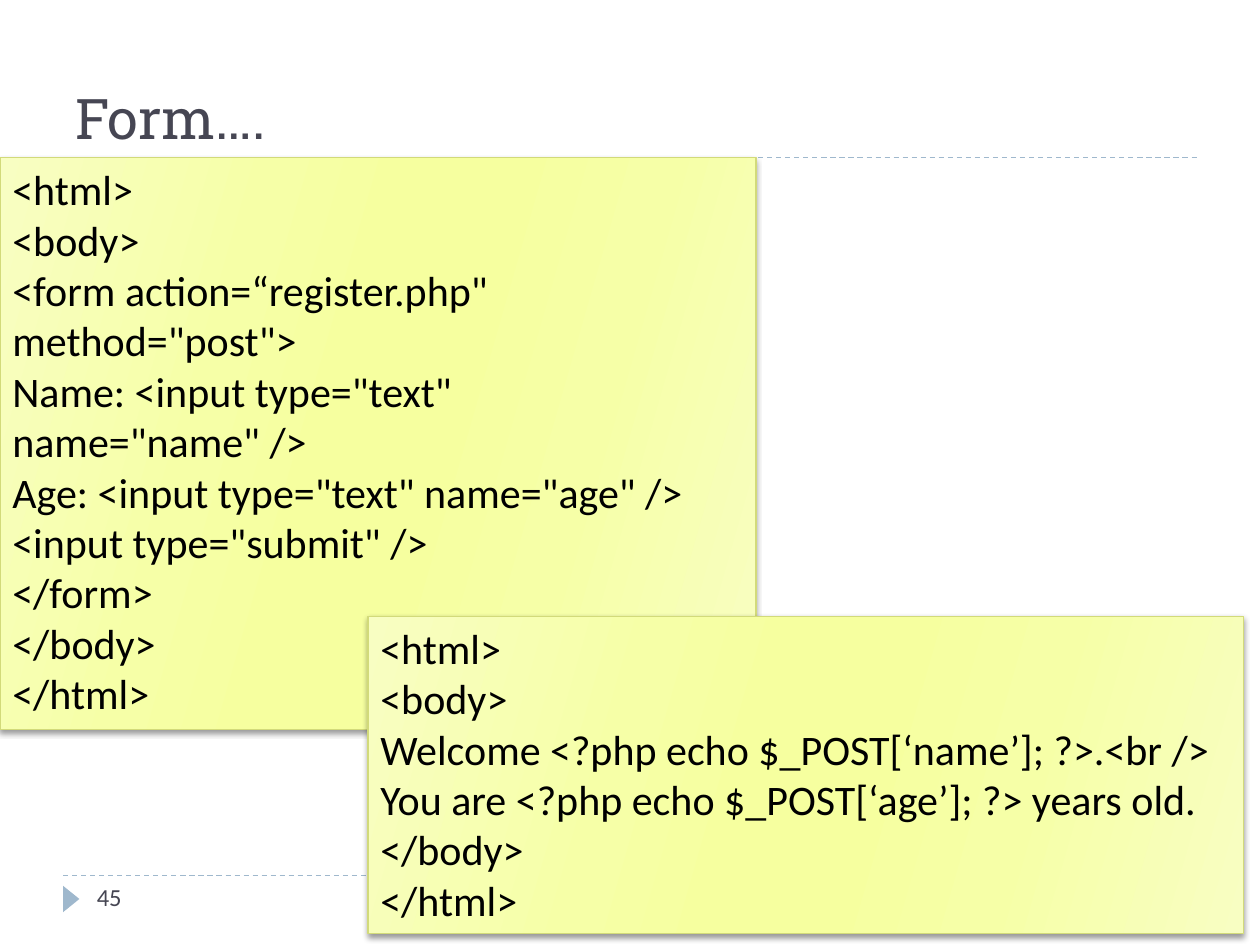
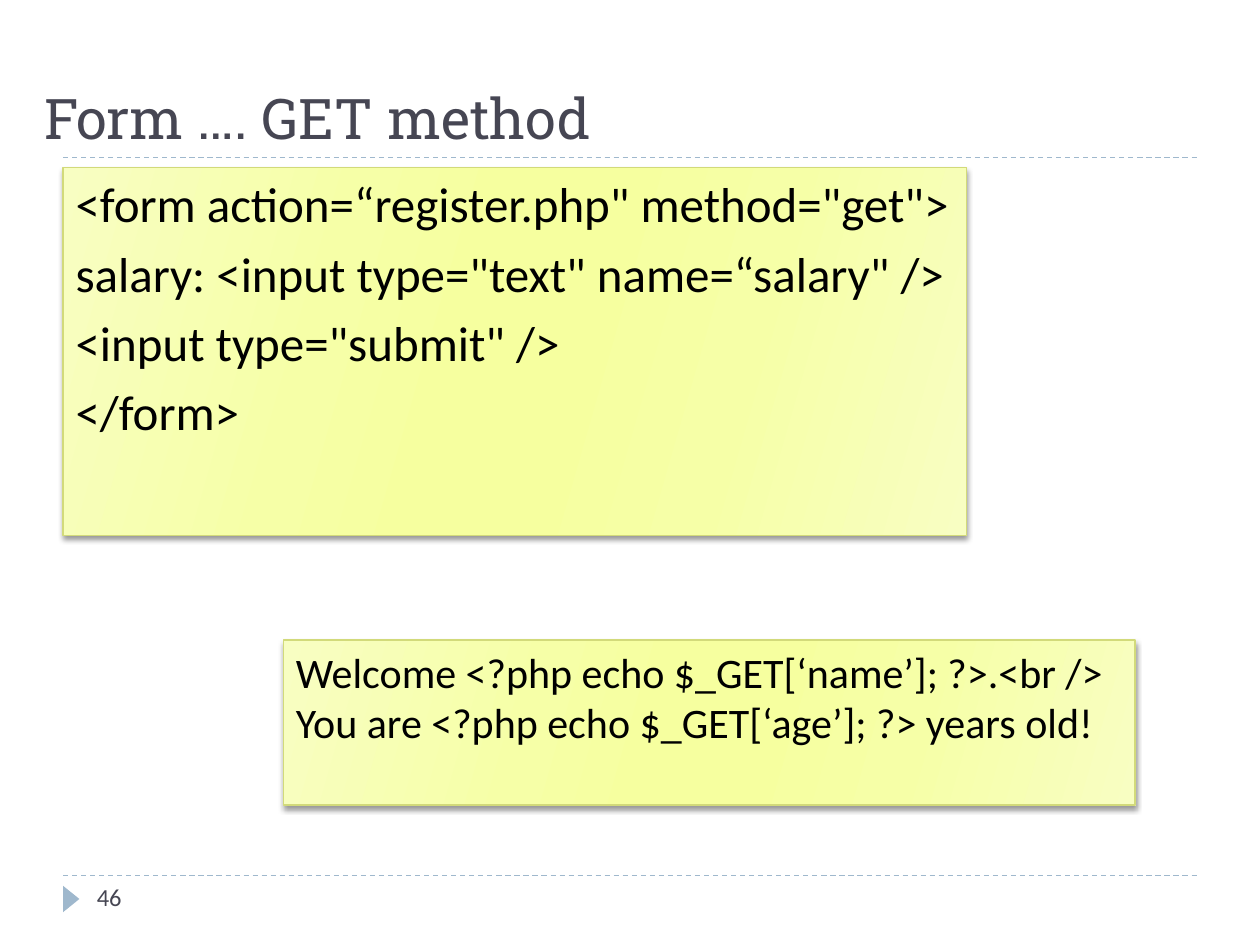
from lxml import etree
from pptx import Presentation
from pptx.dml.color import RGBColor
from pptx.enum.dml import MSO_LINE
from pptx.enum.shapes import MSO_CONNECTOR, MSO_SHAPE
from pptx.enum.text import MSO_ANCHOR, MSO_AUTO_SIZE, PP_ALIGN
from pptx.oxml import parse_xml
from pptx.oxml.ns import nsdecls, qn
from pptx.util import Inches, Pt

DASH = MSO_LINE.DASH
STRAIGHT = MSO_CONNECTOR.STRAIGHT
TRIANGLE, RECTANGLE = MSO_SHAPE.ISOSCELES_TRIANGLE, MSO_SHAPE.RECTANGLE
TOP, BOTTOM = MSO_ANCHOR.TOP, MSO_ANCHOR.BOTTOM
NO_AUTOFIT = MSO_AUTO_SIZE.NONE
LEFT = PP_ALIGN.LEFT

WIDTH, HEIGHT, MARGIN = 10, 7.5, 0.5
HEADER_Y, FOOTER_Y = 1.25, 6.95
INK, ACCENT, CODE_INK, CODE_EDGE = "464653", "9FB8CD", "000000", "D2DA7A"
HEADING_FONT, BODY_FONT = "Roboto Slab", "Calibri"
GLOW = [(0, "F8FEC2"), (30, "F6FFA7"), (45, "F6FF9F"),
        (55, "F6FF9F"), (73, "F6FFA7"), (100, "F8FEC2")]
GLOW_ANGLE = 16
TITLE_AND_BODY, TITLE_ONLY = 1, 5

SLIDES = [
    {
        "title": "Form….", "title_box": (0.5, 0.17, 9, 1.08), "number": "45",
        "panels": [
            {"box": (0, 1.25, 6, 4.54), "code": [
                "<html>",
                "<body>",
                "<form action=“register.php\" method=\"post\">",
                "Name: <input type=\"text\" name=\"name\" />",
                "Age: <input type=\"text\" name=\"age\" />",
                "<input type=\"submit\" />",
                "</form>",
                "</body>",
                "</html>"]},
            {"box": (2.92, 4.89, 6.95, 2.52), "code": [
                "<html>",
                "<body>",
                "Welcome <?php echo $_POST[‘name’]; ?>.<br />",
                "You are <?php echo $_POST[‘age’]; ?> years old.",
                "</body>",
                "</html>"]},
        ],
    },
    {
        "title": "Form …. GET method", "title_box": (0.25, 0, 9, 1.25), "number": "46",
        "body": {"box": (0.5, 1.33, 7.17, 2.92), "code": [
            "<form action=“register.php\" method=\"get\">",
            "salary: <input type=\"text\" name=“salary\" />",
            "<input type=\"submit\" />",
            "</form>"]},
        "panels": [
            {"box": (2.25, 5.08, 6.76, 1.31), "code": [
                "Welcome <?php echo $_GET[‘name’]; ?>.<br />",
                "You are <?php echo $_GET[‘age’]; ?> years old!"]},
        ],
    },
]


def rgb(hex_color):
    return RGBColor.from_string(hex_color)


def place(shape, box):
    shape.left, shape.top, shape.width, shape.height = map(Inches, box)


def write(shape, lines, size, color=CODE_INK, font=BODY_FONT, anchor=TOP, before=0):
    frame = shape.text_frame
    frame.word_wrap = True
    frame.auto_size = NO_AUTOFIT
    frame.vertical_anchor = anchor
    for i, line in enumerate(lines):
        paragraph = frame.paragraphs[0] if i == 0 else frame.add_paragraph()
        paragraph.alignment = LEFT
        paragraph.space_before = Pt(before)
        run = paragraph.add_run()
        run.text = line
        run.font.size, run.font.name = Pt(size), font
        run.font.color.rgb = rgb(color)


def remove_bullets(shape):
    for paragraph in shape.text_frame.paragraphs:
        properties = paragraph._p.get_or_add_pPr()
        properties.set("marL", "0")
        properties.set("indent", "0")
        etree.SubElement(properties, qn("a:buNone"))


def style_panel(shape):
    stops = "".join(f'<a:gs pos="{pos * 1000}"><a:srgbClr val="{color}"/></a:gs>'
                    for pos, color in GLOW)
    properties = shape._element.spPr
    properties.append(parse_xml(
        f'<a:gradFill {nsdecls("a")} rotWithShape="1"><a:gsLst>{stops}</a:gsLst>'
        f'<a:lin ang="{GLOW_ANGLE * 60000}" scaled="0"/></a:gradFill>'))
    shape.line.color.rgb = rgb(CODE_EDGE)
    shape.line.width = Pt(0.75)
    shape.shadow.inherit = False
    properties.find(qn("a:effectLst")).append(parse_xml(
        f'<a:outerShdw {nsdecls("a")} blurRad="{Pt(3)}" dist="{Pt(2)}" dir="5400000" '
        'rotWithShape="0"><a:srgbClr val="000000"><a:alpha val="40000"/></a:srgbClr>'
        '</a:outerShdw>'))


def add_rule(slide, y):
    rule = slide.shapes.add_connector(
        STRAIGHT, Inches(MARGIN), Inches(y), Inches(WIDTH - MARGIN), Inches(y))
    rule.line.color.rgb = rgb(ACCENT)
    rule.line.width = Pt(0.75)
    rule.line.dash_style = DASH
    etree.SubElement(rule._element.spPr, qn("a:effectLst"))


def add_frame(slide, number):
    for y in (FOOTER_Y, HEADER_Y):
        add_rule(slide, y)
    marker = slide.shapes.add_shape(TRIANGLE, *map(Inches, (0.46, 7.07, 0.21, 0.13)))
    marker.rotation = 90
    marker.fill.solid()
    marker.fill.fore_color.rgb = rgb(ACCENT)
    marker.line.fill.background()
    marker.shadow.inherit = False
    page = slide.shapes.add_textbox(*map(Inches, (0.67, FOOTER_Y, 2.17, 0.4)))
    write(page, [number], 14, color=INK)


def build_slide(deck, content):
    body = content.get("body")
    slide = deck.slides.add_slide(deck.slide_layouts[TITLE_AND_BODY if body else TITLE_ONLY])
    title = slide.shapes.title
    place(title, content["title_box"])
    write(title, [content["title"]], 32, color=INK, font=HEADING_FONT, anchor=BOTTOM)
    add_frame(slide, content["number"])
    if body:
        form = slide.placeholders[1]
        place(form, body["box"])
        write(form, body["code"], 28, before=6)
        remove_bullets(form)
        style_panel(form)
    for panel in content["panels"]:
        listing = slide.shapes.add_shape(RECTANGLE, *map(Inches, panel["box"]))
        write(listing, panel["code"], 24)
        style_panel(listing)


def main():
    deck = Presentation()
    deck.slide_width, deck.slide_height = Inches(WIDTH), Inches(HEIGHT)
    for content in SLIDES:
        build_slide(deck, content)
    deck.save("out.pptx")


if __name__ == "__main__":
    main()
